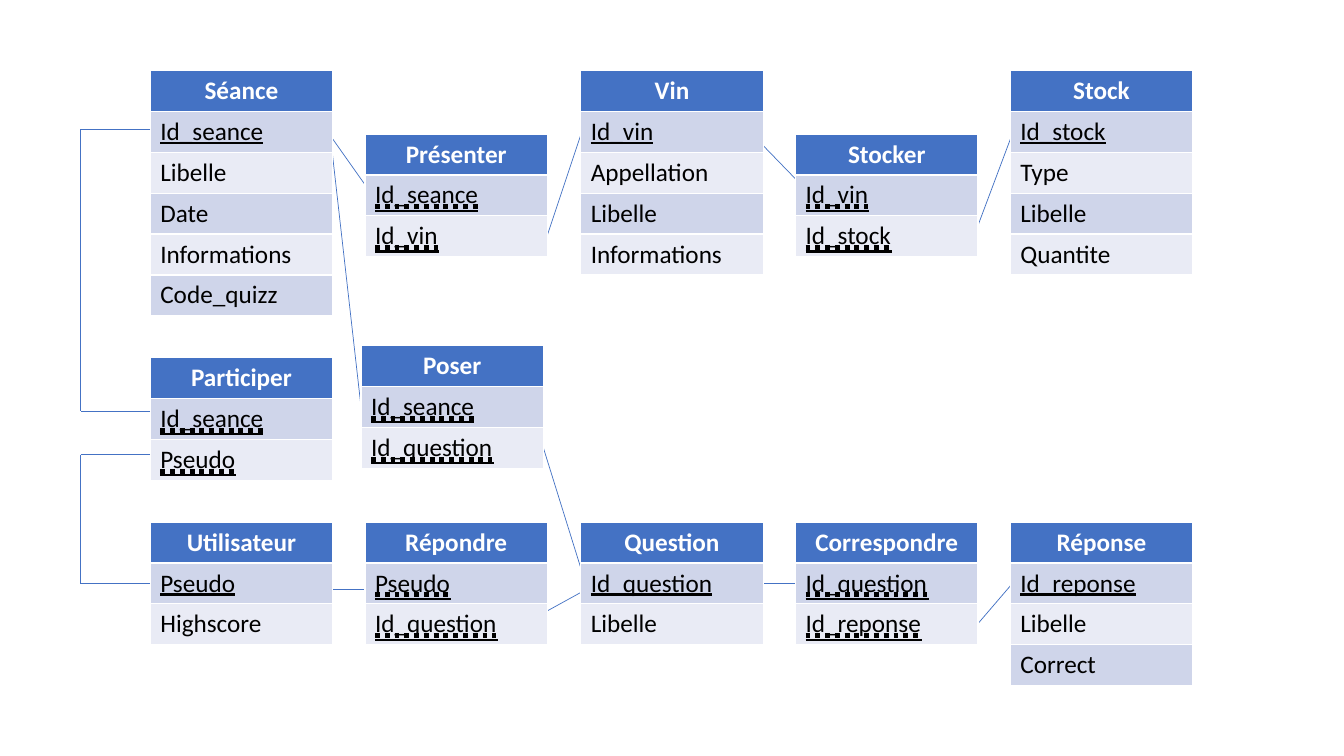
from lxml import etree
from pptx import Presentation
from pptx import util as u
from pptx.dml.color import RGBColor
from pptx.enum import shapes, text
from pptx.oxml.ns import qn

COLORS = {"header": "4472C4", "odd": "CFD5EA", "even": "E9EBF5",
          "link": "4472C4", "white": "FFFFFF", "black": "000000"}
ROW = 2.43 / 6
TABLE_WIDTH = 1.81
KEY_WIDTHS = {"Id_seance": 1.02, "Id_vin": 0.63, "Id_stock": 0.86,
              "Pseudo": 0.75, "Id_question": 1.22, "Id_reponse": 1.15}

deck = Presentation()
deck.slide_width, deck.slide_height = u.Inches(13.33), u.Inches(7.5)
slide = deck.slides.add_slide(deck.slide_layouts[6])


def add_line(x1, y1, x2, y2, color, weight):
    """Draw a straight line without shadow."""
    line = slide.shapes.add_connector(
        shapes.MSO_CONNECTOR.STRAIGHT,
        u.Inches(x1), u.Inches(y1), u.Inches(x2), u.Inches(y2))
    line.line.color.rgb = RGBColor.from_string(COLORS[color])
    line.line.width = u.Pt(weight)
    etree.SubElement(line._element.spPr, qn("a:effectLst"))


def add_relation(left, top, title, fields, key_count, underline):
    """Add one relation as a table whose first fields are underlined keys."""
    table = slide.shapes.add_table(
        len(fields) + 1, 1, u.Inches(left), u.Inches(top),
        u.Inches(TABLE_WIDTH), u.Inches(ROW * (len(fields) + 1))).table
    for i, label in enumerate([title, *fields]):
        cell = table.cell(i, 0)
        band = "header" if i == 0 else "odd" if i % 2 else "even"
        cell.fill.solid()
        cell.fill.fore_color.rgb = RGBColor.from_string(COLORS[band])
        paragraph = cell.text_frame.paragraphs[0]
        paragraph.text = label
        if i == 0:
            paragraph.alignment = text.PP_ALIGN.CENTER
        font = paragraph.runs[0].font
        font.name, font.size, font.bold = "Calibri", u.Pt(18), i == 0
        font.color.rgb = RGBColor.from_string(COLORS["black" if i else "white"])
        if 1 <= i <= key_count:
            font.underline = underline


# Links between keys, behind the tables
links = [
    (3.26, 1.2, 3.58, 4.03), (3.15, 5.85, 3.86, 5.85),
    (9.62, 6.28, 10.04, 5.79), (7.41, 5.79, 8.32, 5.79),
    (5.23, 6.17, 5.92, 5.79), (5.37, 4.38, 5.84, 5.89),
    (9.62, 2.45, 10.04, 1.33), (7.41, 1.28, 8.05, 1.94),
    (5.39, 2.45, 5.84, 1.1), (3.23, 1.28, 3.76, 2.03),
]
for link in links:
    add_line(*link, "link", 0.5)

# Entities: the first field is the primary key
entities = [
    (10.02, 0.7, "Stock", ["Id_stock", "Type", "Libelle", "Quantite"]),
    (10.02, 5.18, "Réponse", ["Id_reponse", "Libelle", "Correct"]),
    (5.76, 5.18, "Question", ["Id_question", "Libelle"]),
    (1.49, 5.18, "Utilisateur", ["Pseudo", "Highscore"]),
    (1.49, 0.7, "Séance",
     ["Id_seance", "Libelle", "Date", "Informations", "Code_quizz"]),
    (5.76, 0.7, "Vin", ["Id_vin", "Appellation", "Libelle", "Informations"]),
]
for left, top, title, fields in entities:
    add_relation(left, top, title, fields, 1, True)

# Associations: both fields are foreign keys, dotted and ruled
associations = [
    (3.58, 3.43, "Poser", ["Id_seance", "Id_question"]),
    (3.62, 1.33, "Présenter", ["Id_seance", "Id_vin"]),
    (7.89, 5.18, "Correspondre", ["Id_question", "Id_reponse"]),
    (7.89, 1.33, "Stocker", ["Id_vin", "Id_stock"]),
    (3.62, 5.18, "Répondre", ["Pseudo", "Id_question"]),
    (1.49, 3.55, "Participer", ["Id_seance", "Pseudo"]),
]
for left, top, title, fields in associations:
    add_relation(left, top, title, fields, 2,
                 text.MSO_TEXT_UNDERLINE_TYPE.DOTTED_HEAVY_LINE)
for left, top, title, keys in associations:
    for i, key in enumerate(keys):
        x, y = left + 0.1, top + 0.76 + i * ROW
        add_line(x, y, x + KEY_WIDTHS[key], y, "black", 1.5)

# Brackets on the left: Séance to Participer, Participer to Utilisateur
for start, end in [(1.28, 4.08), (4.51, 5.79)]:
    for y in (start, end):
        add_line(1.49, y, 0.8, y, "link", 0.5)
    add_line(0.8, start, 0.8, end, "link", 0.5)

deck.save("out.pptx")
